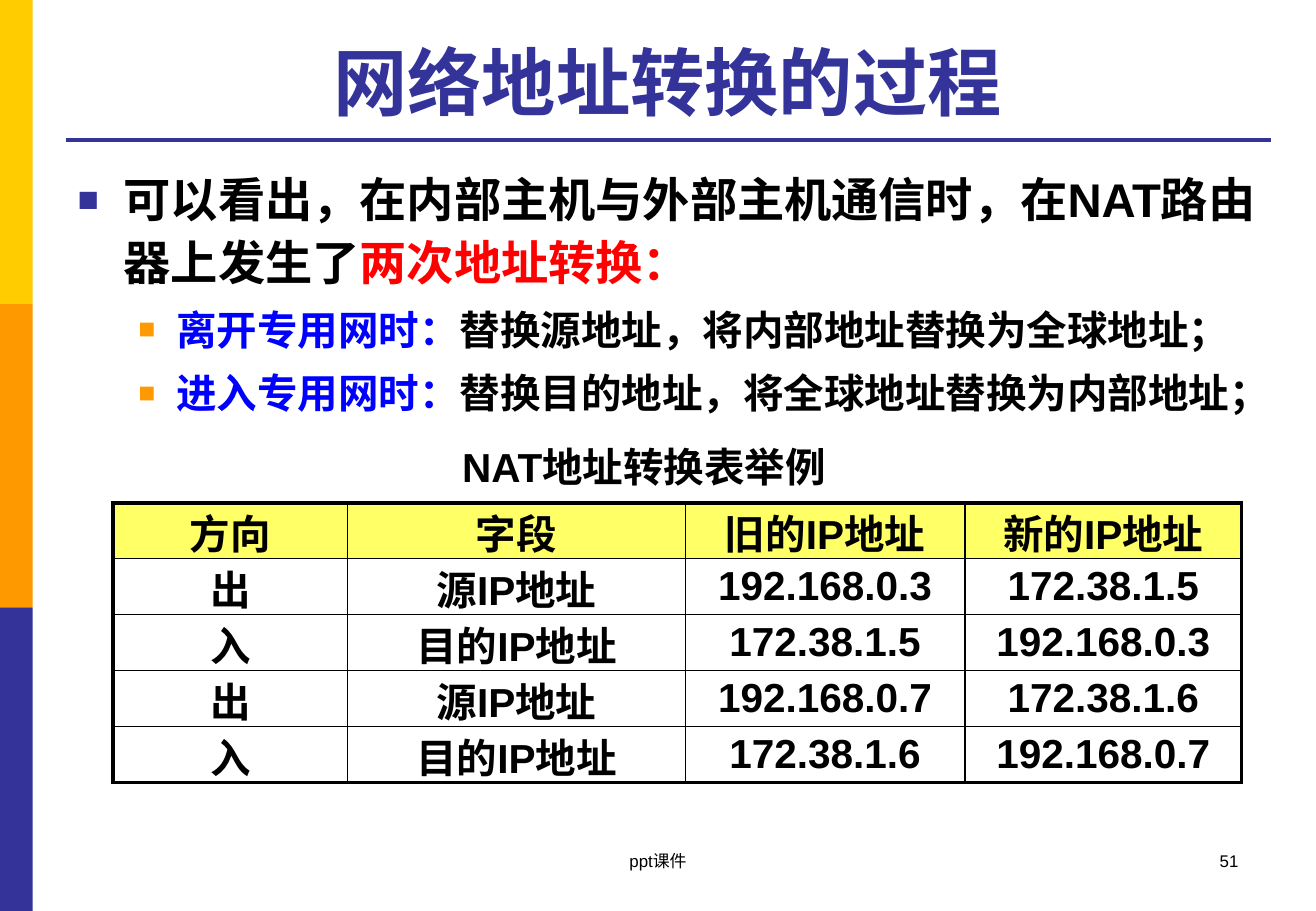
from pptx import Presentation
from pptx.dml.color import RGBColor
from pptx.enum.shapes import MSO_CONNECTOR, MSO_SHAPE
from pptx.enum.text import MSO_ANCHOR, PP_ALIGN
from pptx.oxml.ns import qn
from pptx.util import Pt
from lxml.etree import SubElement

PX = 9144  # 100 px to the inch
NAVY, GOLD, ORANGE = "333399", "FFCC00", "FF9900"
BLACK, RED, BLUE, YELLOW = "000000", "FF0000", "0000FF", "FFFF66"


def color(code):
    return RGBColor.from_string(code)


def style(run, size, code=BLACK, bold=True):
    run.font.name = "Arial"
    run.font.size = Pt(size)
    run.font.bold = bold
    run.font.color.rgb = color(code)


deck = Presentation()
deck.slide_width, deck.slide_height = 1083 * PX, 750 * PX
slide = deck.slides.add_slide(deck.slide_layouts[6])
shapes = slide.shapes

# Side bands and title rule
for i, code in enumerate([GOLD, ORANGE, NAVY]):
    band = shapes.add_shape(MSO_SHAPE.RECTANGLE, 0, i * 250 * PX, 27 * PX, 250 * PX)
    band.shadow.inherit = False
    band.fill.solid()
    band.fill.fore_color.rgb = color(code)
    band.line.fill.background()

rule = shapes.add_connector(MSO_CONNECTOR.STRAIGHT, 54 * PX, 115 * PX, 1046 * PX, 115 * PX)
rule.line.color.rgb = color(NAVY)
rule.line.width = Pt(2.25)
SubElement(rule._element.spPr, qn("a:effectLst"))

# Single-line texts
labels = [
    ("网络地址转换的过程", 54, 21, 991, 87, 44, NAVY, True, PP_ALIGN.CENTER, MSO_ANCHOR.BOTTOM),
    ("NAT地址转换表举例", 337, 359, 386, 51, 24, BLACK, True, PP_ALIGN.CENTER, MSO_ANCHOR.TOP),
    ("51", 776, 695, 253, 50, 10, BLACK, False, PP_ALIGN.RIGHT, MSO_ANCHOR.TOP),
    ("ppt课件", 370, 695, 343, 50, 10, BLACK, False, PP_ALIGN.CENTER, MSO_ANCHOR.TOP),
]
for text, x, y, w, h, size, code, bold, align, anchor in labels:
    frame = shapes.add_textbox(x * PX, y * PX, w * PX, h * PX).text_frame
    frame.word_wrap = True
    frame.vertical_anchor = anchor
    frame.text = text
    frame.paragraphs[0].alignment = align
    style(frame.paragraphs[0].runs[0], size, code, bold)

# Bulleted body: level, then runs of text and colour
points = [
    (0, [("可以看出，在内部主机与外部主机通信时，在NAT路由器上发生了", BLACK),
         ("两次地址转换：", RED)]),
    (1, [("离开专用网时：", BLUE), ("替换源地址，将内部地址替换为全球地址；", BLACK)]),
    (1, [("进入专用网时：", BLUE), ("替换目的地址，将全球地址替换为内部地址；", BLACK)]),
]
# Per level: left margin, hanging indent, bullet colour, bullet percent, text size
levels = [(38, 38, NAVY, 75, 28), (81, 31, ORANGE, 70, 24)]
body = shapes.add_textbox(54 * PX, 131 * PX, 991 * PX, 540 * PX).text_frame
body.word_wrap = True
for i, (level, parts) in enumerate(points):
    left, hang, tint, share, size = levels[level]
    para = body.add_paragraph() if i else body.paragraphs[0]
    para.level = level
    para.line_spacing = 1.1
    para.space_before = Pt(6 if i else 0)
    props = para._p.get_or_add_pPr()
    props.set("marL", str(left * PX))
    props.set("indent", str(-hang * PX))
    SubElement(SubElement(props, qn("a:buClr")), qn("a:srgbClr"), val=tint)
    SubElement(props, qn("a:buSzPct"), val=str(share * 1000))
    SubElement(props, qn("a:buFont"), typeface="Arial")
    SubElement(props, qn("a:buChar"), char="■")
    for text, code in parts:
        run = para.add_run()
        run.text = text
        style(run, size, code)

# Translation table
rows = [
    ("方向", "字段", "旧的IP地址", "新的IP地址"),
    ("出", "源IP地址", "192.168.0.3", "172.38.1.5"),
    ("入", "目的IP地址", "172.38.1.5", "192.168.0.3"),
    ("出", "源IP地址", "192.168.0.7", "172.38.1.6"),
    ("入", "目的IP地址", "172.38.1.6", "192.168.0.7"),
]
widths = [193, 278, 230, 228]
grid = shapes.add_table(len(rows), len(widths), 93 * PX, 414 * PX, 929 * PX, 228 * PX).table
for col, width in zip(grid.columns, widths):
    col.width = width * PX
for r, row in enumerate(rows):
    grid.rows[r].height = 46 * PX
    for c, text in enumerate(row):
        cell = grid.cell(r, c)
        cell.text = text
        cell.vertical_anchor = MSO_ANCHOR.MIDDLE
        cell.margin_left = cell.margin_right = 7 * PX
        cell.margin_top = cell.margin_bottom = 0
        para = cell.text_frame.paragraphs[0]
        para.alignment = PP_ALIGN.CENTER
        style(para.runs[0], 24)
        edges = {"L": c == 0, "R": c == len(widths) - 1, "T": r == 0, "B": r == len(rows) - 1}
        props = cell._tc.get_or_add_tcPr()
        for side, outer in edges.items():
            line = SubElement(props, qn("a:ln" + side), w=str(Pt(2.25 if outer else 1)))
            SubElement(SubElement(line, qn("a:solidFill")), qn("a:srgbClr"), val=BLACK)
        if r == 0:
            cell.fill.solid()
            cell.fill.fore_color.rgb = color(YELLOW)
        else:
            cell.fill.background()

deck.save("out.pptx")
